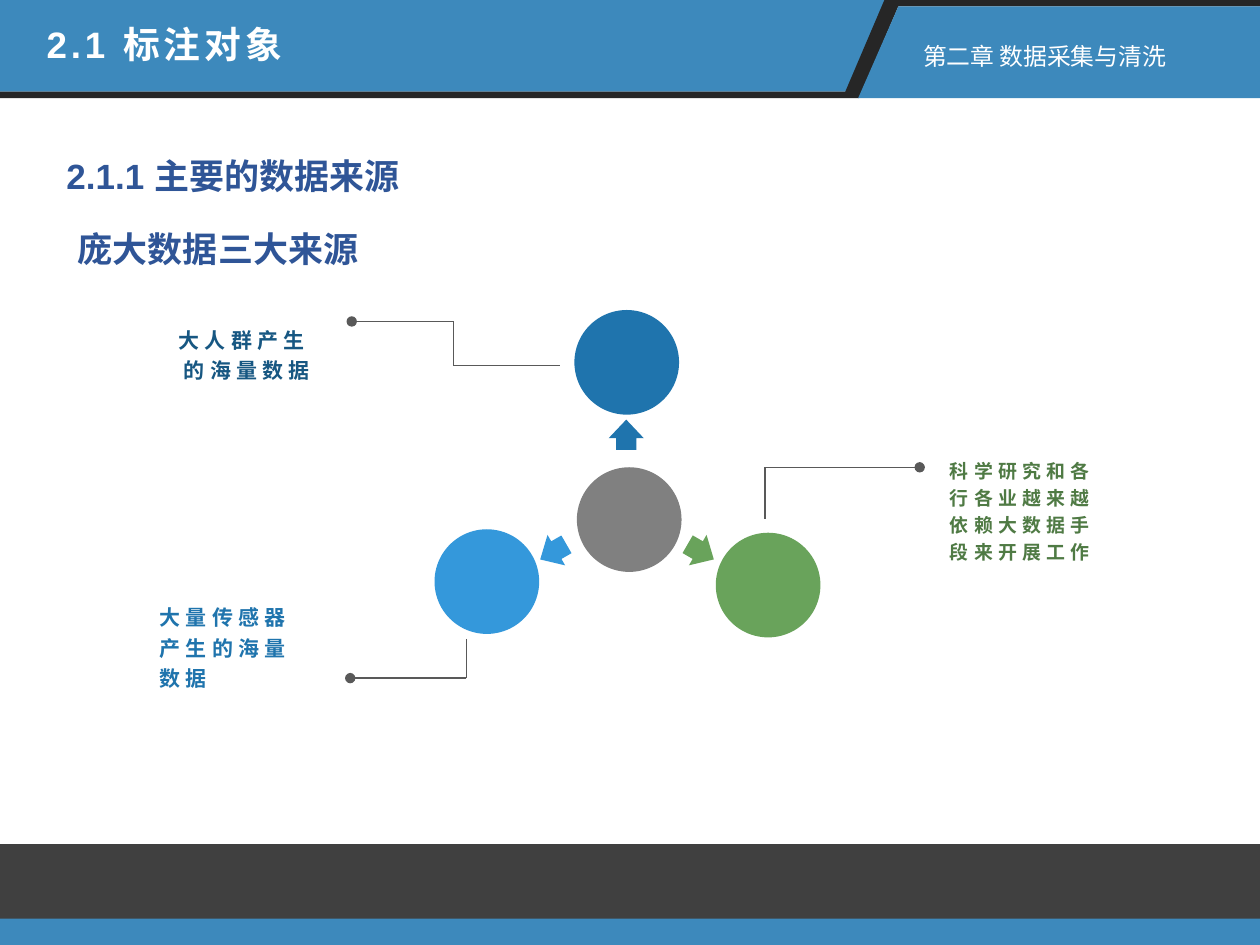
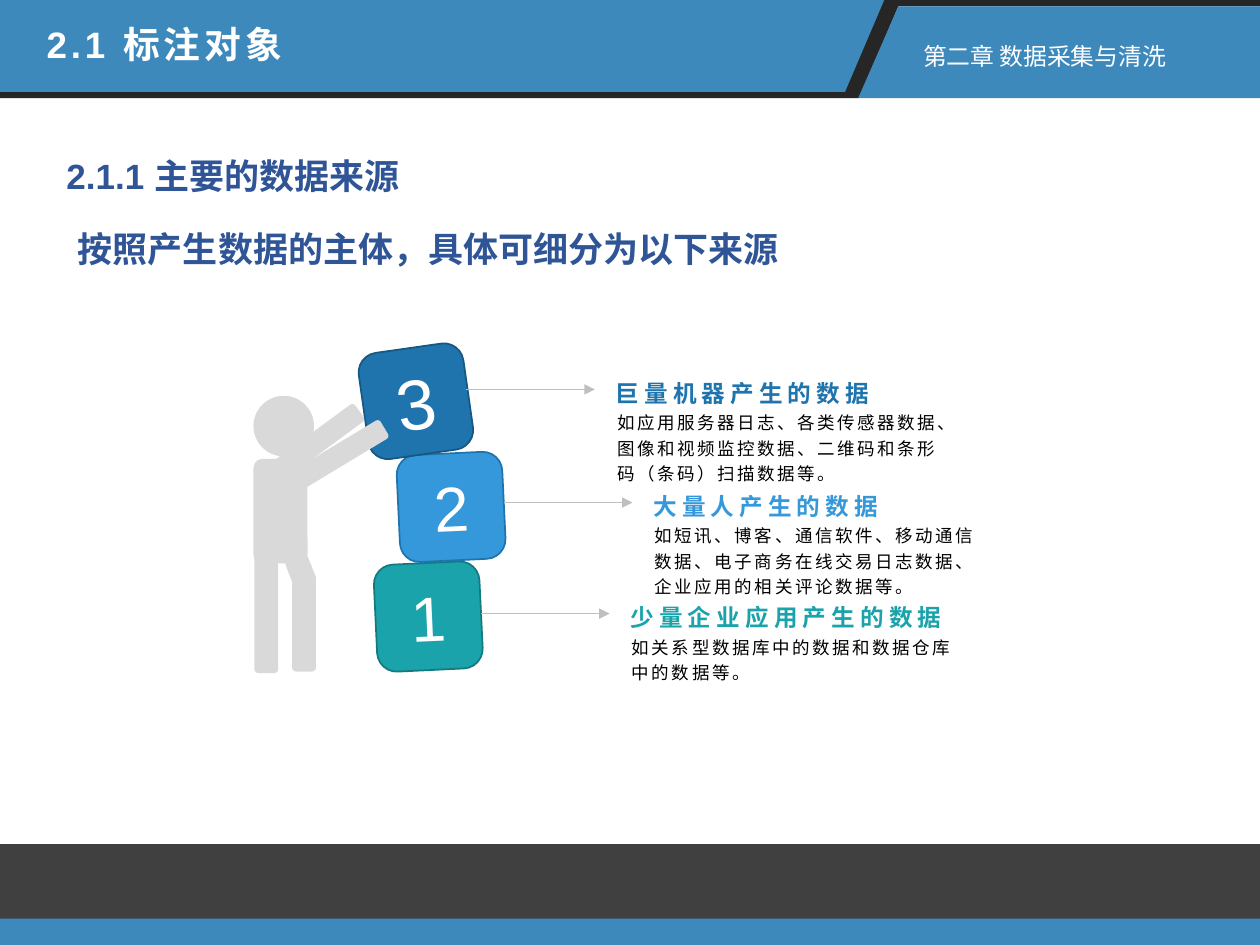
from itertools import pairwise

from lxml import etree
from pptx import Presentation
from pptx.dml.color import RGBColor
from pptx.enum import shapes, text
from pptx.oxml import ns
from pptx.util import Cm, Pt

BAND_BLUE = RGBColor(0x3D, 0x89, 0xBC)
BAND_BLACK = RGBColor(0x26, 0x26, 0x26)
FOOTER_GREY = RGBColor(0x40, 0x40, 0x40)
HEADING_BLUE = RGBColor(0x2F, 0x55, 0x97)
WHITE = RGBColor(0xFF, 0xFF, 0xFF)
BLACK = RGBColor(0, 0, 0)
NAVY = RGBColor(0x17, 0x57, 0x82)
DEEP_BLUE = RGBColor(0x1F, 0x74, 0xAD)
SKY_BLUE = RGBColor(0x34, 0x98, 0xDB)
GREEN = RGBColor(0x69, 0xA3, 0x5B)
DARK_GREEN = RGBColor(0x4F, 0x7A, 0x44)
TEAL = RGBColor(0x1A, 0xA3, 0xAA)
DARK_TEAL = RGBColor(0x14, 0x7A, 0x7F)
HUB_GREY = RGBColor(0x80, 0x80, 0x80)
FIGURE_GREY = RGBColor(0xD9, 0xD9, 0xD9)
CALLOUT_GREY = RGBColor(0x59, 0x59, 0x59)
ARROW_GREY = RGBColor(0xBF, 0xBF, 0xBF)

LATIN, CJK = "Arial", "Noto Sans CJK SC"
WIDTH, HEIGHT = 25.4, 19.05
ELLIPSE = shapes.MSO_SHAPE.OVAL
ROUNDED = shapes.MSO_SHAPE.ROUNDED_RECTANGLE
LEFT, RIGHT, CENTER = (text.PP_ALIGN.LEFT, text.PP_ALIGN.RIGHT,
                       text.PP_ALIGN.CENTER)
TOP, MIDDLE, BOTTOM = (text.MSO_ANCHOR.TOP, text.MSO_ANCHOR.MIDDLE,
                       text.MSO_ANCHOR.BOTTOM)
DEFAULT_INSETS = (0.25, 0.13, 0.25, 0.13)
UPPER_INSETS = (0.25, 0.13, 0.25, 0)
LOWER_INSETS = (0.25, 0, 0.25, 0.13)

# Shared content
SECTION = "2.1 标注对象"
CHAPTER = "第二章 数据采集与清洗"
TOPIC = "2.1.1 主要的数据来源"
HEADER_BANDS = [
    (BAND_BLUE, [(0, 0), (WIDTH, 0), (17.91, 0), (17.12, 1.85), (0, 1.85)]),
    (BAND_BLACK, [(17.83, 0), (WIDTH, 0), (WIDTH, 0.13), (18.11, 0.13),
                  (17.32, 1.98), (0, 1.98), (0, 1.85), (17.04, 1.85)]),
    (BAND_BLUE, [(18.11, 0.13), (WIDTH, 0.13), (WIDTH, 1.98), (17.3, 1.98)]),
]
FOOTER_BANDS = [(17.02, 1.52, FOOTER_GREY), (18.52, 0.53, BAND_BLUE)]

# Slide 1: three sources around a hub
SOURCES_TITLE = "庞大数据三大来源"
CIRCLE = 2.11
HUB = (11.63, 9.42)
SOURCES = [
    dict(label="大人群产生的海量数据", box=(2.97, 6.02, 3.53, 1.7), size=12,
         align=RIGHT, label_color=NAVY, color=DEEP_BLUE,
         circle=(11.58, 6.25), arrow=(12.27, 8.46), turn=0,
         callout=[(11.28, 7.37), (9.14, 7.37), (9.14, 6.48), (7.09, 6.48)]),
    dict(label="大量传感器产生的海量数据", box=(2.97, 12.29, 3.53, 1.63), size=12,
         align=LEFT, label_color=DEEP_BLUE, color=SKY_BLUE,
         circle=(8.76, 10.67), arrow=(10.8, 10.82), turn=240,
         callout=[(9.4, 12.88), (9.4, 13.67), (7.06, 13.67)]),
    dict(label="科学研究和各行各业越来越依赖大数据手段来开展工作",
         box=(18.9, 8.79, 3.53, 2.57), size=10.8,
         align=LEFT, label_color=DARK_GREEN, color=GREEN,
         circle=(14.43, 10.74), arrow=(13.77, 10.82), turn=120,
         callout=[(15.42, 10.46), (15.42, 9.42), (18.54, 9.42)]),
]

# Slide 2: a figure stacking numbered blocks
PRODUCERS_TITLE = "按照产生数据的主体，具体可细分为以下来源"
PRODUCERS = [
    dict(number="1", size=36, block=(7.57, 11.35), turn=357.3,
         color=TEAL, edge=DARK_TEAL, pointer=(9.7, 12.37),
         title="少量企业应用产生的数据",
         detail="如关系型数据库中的数据和数据仓库中的数据等。"),
    dict(number="2", size=36, block=(8.03, 9.14), turn=357.3,
         color=SKY_BLUE, edge=DEEP_BLUE, pointer=(10.16, 10.13),
         title="大量人产生的数据",
         detail="如短讯、博客、通信软件、移动通信数据、电子商务在线交易日志数据、"
                "企业应用的相关评论数据等。"),
    dict(number="3", size=40.5, block=(7.32, 7.01), turn=351.9,
         color=DEEP_BLUE, edge=NAVY, pointer=(9.4, 7.85),
         title="巨量机器产生的数据",
         detail="如应用服务器日志、各类传感器数据、图像和视频监控数据、"
                "二维码和条形码（条码）扫描数据等。"),
]
FIGURE_PARTS = [  # kind, box, rotation, corner
    (ROUNDED, (5.11, 9.25, 1.09, 2.11), 0, 0.167),
    (ROUNDED, (5.13, 11.18, 0.48, 2.39), 0, 0.167),
    (ROUNDED, (5.82, 11.15, 0.48, 0.71), 338.6, 0.296),
    (ROUNDED, (5.89, 11.58, 0.48, 1.96), 0, 0.167),
    (ROUNDED, (6.2, 7.87, 0.43, 2.06), 53.7, 0.167),
    (ROUNDED, (6.65, 8.13, 0.43, 2.06), 58.9, 0.167),
    (ELLIPSE, (5.11, 7.98, 1.22, 1.22), 0, None),
]


def paint(shape, color, edge=None):
    shape.shadow.inherit = False
    shape.fill.solid()
    shape.fill.fore_color.rgb = color
    if edge is None:
        shape.line.fill.background()
    else:
        shape.line.color.rgb = edge
        shape.line.width = Pt(1)


def add_preset(slide, kind, box, color, edge=None, turn=0, adjustments=()):
    shape = slide.shapes.add_shape(kind, *map(Cm, box))
    paint(shape, color, edge)
    shape.rotation = turn
    for index, value in enumerate(adjustments):
        shape.adjustments[index] = value
    return shape


def add_outline(slide, points, color):
    start, *rest = [(Cm(x), Cm(y)) for x, y in points]
    builder = slide.shapes.build_freeform(*start, scale=1.0)
    builder.add_line_segments(rest, close=True)
    paint(builder.convert_to_shape(), color)


def write(shape, words, size, color, font=LATIN, bold=False, tracking=0,
          spacing=None, align=LEFT, anchor=TOP, insets=DEFAULT_INSETS):
    """Fill a shape with one paragraph; tracking is in points."""
    frame = shape.text_frame
    frame.word_wrap = True
    frame.vertical_anchor = anchor
    (frame.margin_left, frame.margin_top,
     frame.margin_right, frame.margin_bottom) = map(Cm, insets)
    paragraph = frame.paragraphs[0]
    paragraph.alignment = align
    if spacing:
        paragraph.line_spacing = spacing
    run = paragraph.add_run()
    run.text = words
    run.font.size = Pt(size)
    run.font.bold = bold
    run.font.color.rgb = color
    run.font.name = font
    properties = run.font._element
    etree.SubElement(properties, ns.qn("a:ea"), typeface=CJK)
    if tracking:
        properties.set("spc", str(round(tracking * 100)))


def add_text(slide, box, words, size, color, **style):
    write(slide.shapes.add_textbox(*map(Cm, box)), words, size, color, **style)


def add_line(slide, start, end, color, width, tail=None):
    connector = slide.shapes.add_connector(
        shapes.MSO_CONNECTOR.STRAIGHT, *map(Cm, (*start, *end)))
    connector.line.color.rgb = color
    connector.line.width = Pt(width)
    properties = connector._element.spPr
    if tail:
        line = properties.find(ns.qn("a:ln"))
        etree.SubElement(line, ns.qn("a:tailEnd"), type=tail)
    etree.SubElement(properties, ns.qn("a:effectLst"))


def add_framed_slide(presentation):
    """Add a slide with the shared bands, header text and topic."""
    slide = presentation.slides.add_slide(presentation.slide_layouts[6])
    for color, points in HEADER_BANDS:
        add_outline(slide, points, color)
    for top, height, color in FOOTER_BANDS:
        add_preset(slide, shapes.MSO_SHAPE.RECTANGLE,
                   (0, top, WIDTH, height), color)
    add_text(slide, (0.69, 0.3, 9.93, 1.14), SECTION, 21, WHITE,
             bold=True, tracking=2.2)
    add_text(slide, (18.11, 0.71, 7.29, 0.84), CHAPTER, 13.6, WHITE,
             insets=(0.5, 0.13, 0.25, 0.13))
    add_heading(slide, 1.09, 2.64, TOPIC)
    return slide


def add_heading(slide, left, top, words):
    add_text(slide, (left, top, 19.99, 1.5), words, 20, HEADING_BLUE,
             bold=True, spacing=1.4)


def add_sources_slide(presentation):
    slide = add_framed_slide(presentation)
    add_preset(slide, ELLIPSE, (*HUB, CIRCLE, CIRCLE), HUB_GREY)
    for source in SOURCES:
        add_preset(slide, ELLIPSE, (*source["circle"], CIRCLE, CIRCLE),
                   source["color"])
        add_preset(slide, shapes.MSO_SHAPE.UP_ARROW,
                   (*source["arrow"], 0.71, 0.61), source["color"],
                   turn=source["turn"], adjustments=(0.579, 0.615))
        points = source["callout"]
        for start, end in pairwise(points):
            tail = "oval" if end == points[-1] else None
            add_line(slide, start, end, CALLOUT_GREY, 0.75, tail)
        add_text(slide, source["box"], source["label"], source["size"],
                 source["label_color"], font=CJK, bold=True, tracking=3,
                 spacing=1.2, align=source["align"], anchor=BOTTOM,
                 insets=UPPER_INSETS)
    add_heading(slide, 1.32, 4.11, SOURCES_TITLE)


def add_producers_slide(presentation):
    slide = add_framed_slide(presentation)
    add_heading(slide, 1.32, 4.11, PRODUCERS_TITLE)
    for producer in PRODUCERS:
        block = add_preset(slide, ROUNDED, (*producer["block"], 2.13, 2.16),
                           producer["color"], producer["edge"],
                           producer["turn"], (0.186,))
        write(block, producer["number"], producer["size"], WHITE,
              align=CENTER, anchor=MIDDLE)
        x, y = producer["pointer"]
        add_line(slide, (x, y), (x + 2.59, y), ARROW_GREY, 0.5, "triangle")
        add_text(slide, (x + 2.76, y - 0.43, 7.14, 0.79), producer["title"],
                 13.5, producer["color"], font=CJK, bold=True, tracking=3,
                 spacing=1.1, anchor=BOTTOM, insets=UPPER_INSETS)
        add_text(slide, (x + 2.79, y + 0.38, 7.14, 0.71), producer["detail"],
                 10, BLACK, font=CJK, tracking=1.5, spacing=1.2,
                 insets=LOWER_INSETS)
    for kind, box, turn, corner in FIGURE_PARTS:
        add_preset(slide, kind, box, FIGURE_GREY, turn=turn,
                   adjustments=(corner,) if corner else ())


def main():
    presentation = Presentation()
    presentation.slide_width = Cm(WIDTH)
    presentation.slide_height = Cm(HEIGHT)
    add_sources_slide(presentation)
    add_producers_slide(presentation)
    presentation.save("out.pptx")


if __name__ == "__main__":
    main()
